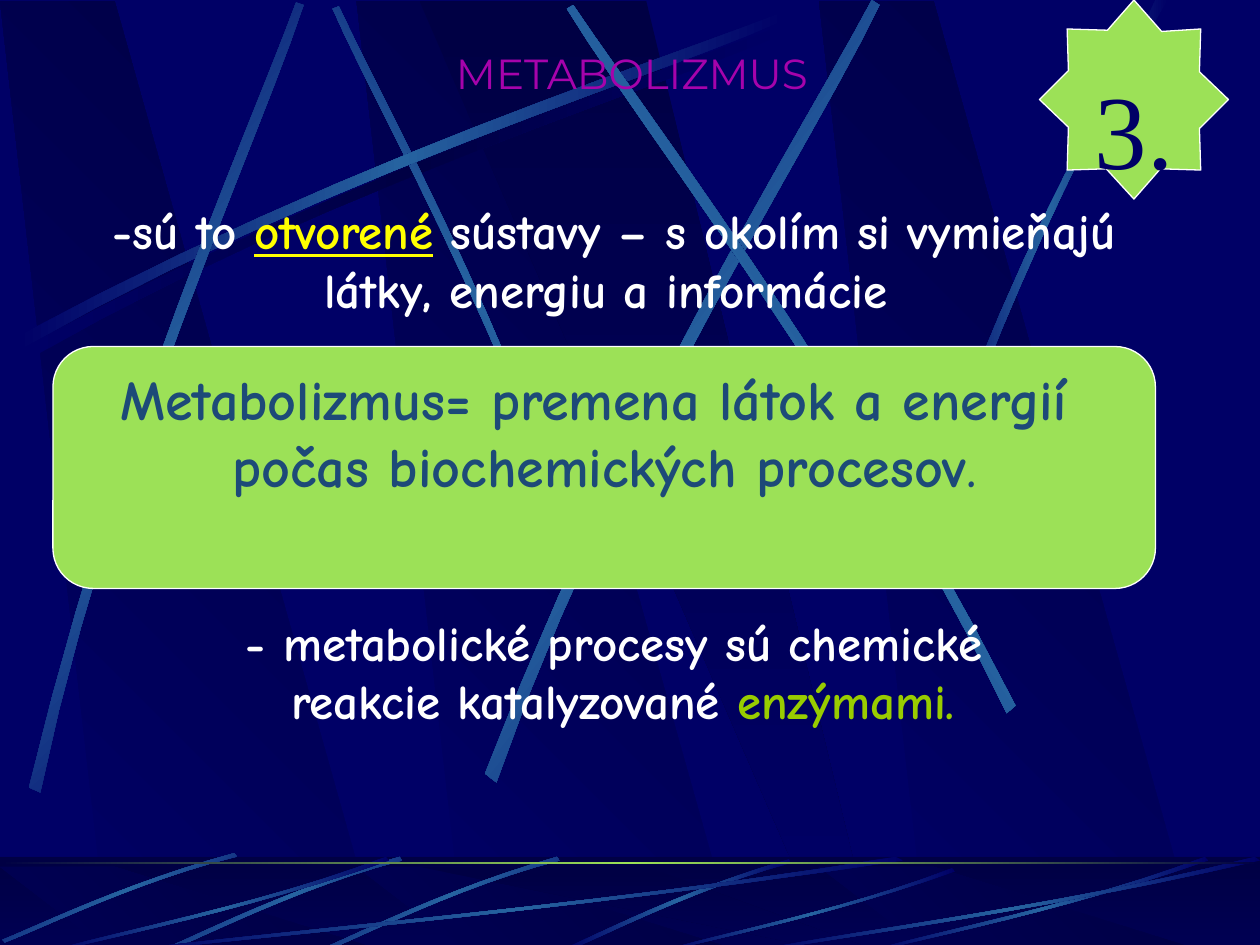
import dataclasses

import pptx
import pptx.dml.color
import pptx.enum.shapes
import pptx.enum.text
import pptx.oxml.ns
import pptx.util
from lxml import etree

qn = pptx.oxml.ns.qn
ALIGN = pptx.enum.text.PP_ALIGN
ANCHOR = pptx.enum.text.MSO_ANCHOR
SHAPES = pptx.enum.shapes.MSO_SHAPE


@dataclasses.dataclass(frozen=True)
class Theme:
    navy: str = "000066"
    night: str = "000044"
    beam: str = "2663A0"
    lime: str = "9CE157"
    white: str = "FFFFFF"
    yellow: str = "FFFF00"
    olive: str = "99CC00"
    ink: str = "1D4A78"
    purple: str = "A603AB"
    hand: str = "Comic Neue"
    sans: str = "Montserrat"
    serif: str = "Times New Roman"
    title_size: int = 24
    body_size: int = 28
    definition_size: int = 32
    number_size: int = 60


THEME = Theme()
WIDTH, HEIGHT = pptx.util.Inches(10), pptx.util.Inches(7.5)
CELL = WIDTH / 10  # ten columns; rows are as high as columns are wide
FOOTER_TOP = 6.8

# Beams: four points of one edge, then four of the edge coming back
LONG_BEAM = [(0.14, 2.67), (2.78, 1.25), (5.18, 0.51), (6.2, 0.1),
             (6.23, 0.16), (5.22, 0.61), (2.48, 1.43), (0.17, 2.77)]
STEEP_BEAMS = [  # points, gradient angle
    ([(4.6, 4.36), (3.91, 2.34), (3.02, 0.77), (2.69, 0.05),
      (2.64, 0.07), (2.95, 0.79), (3.98, 2.58), (4.54, 4.39)], 45),
    (LONG_BEAM, 0),
    ([(0.23, 6.25), (0.93, 3.34), (1.97, 1.05), (2.35, 0.02),
      (2.41, 0.04), (2.07, 1.08), (0.86, 3.68), (0.32, 6.29)], 311.7),
    ([(3.85, 6.14), (4.98, 3.2), (6.38, 1.02), (6.92, 0),
      (6.98, 0.04), (6.49, 1.08), (4.86, 3.55), (3.94, 6.21)], 321.6),
    ([(8.06, 5.6), (6.7, 2.93), (5.16, 0.95), (4.55, 0.04),
      (4.5, 0.07), (5.07, 1.01), (6.85, 3.25), (7.99, 5.66)], 34.8),
    ([(7.38, 3.93), (8.14, 1.73), (8.88, 0.66), (9.17, 0),
      (9.27, 0), (8.36, 1.45), (7.69, 3.22), (7.44, 3.97)], 0),
]
# Footer beams as shares of the box they fill
FLAT_BEAM = [(1, 0.04), (0.57, 0.57), (0.17, 0.85), (0.01, 1),
             (0, 0.99), (0.16, 0.81), (0.62, 0.51), (0.99, 0)]
BENT_BEAM = [(0.99, 0), (0.53, 0.33), (0.16, 0.8), (0, 0.97),
             (0.01, 1), (0.17, 0.84), (0.58, 0.31), (1, 0.04)]
FOOTER_BEAMS = [  # outline, box, gradient angle
    (BENT_BEAM, (4.48, 6.82, 1.8, 0.73), 0),
    (BENT_BEAM, (2.56, 6.8, 1.88, 0.75), 315),
    (BENT_BEAM, (1.31, 6.8, 1.88, 0.75), 315),
    (BENT_BEAM, (0.02, 6.77, 1.86, 0.71), 315),
    (FLAT_BEAM, (1, 6.8, 6.17, 0.75), 0),
    (FLAT_BEAM, (0.42, 6.8, 2.67, 0.75), 0),
    (FLAT_BEAM, (5.27, 6.89, 2.31, 0.66), 0),
    (FLAT_BEAM, (6.92, 6.8, 2.67, 0.75), 0),
    (FLAT_BEAM, (6, 6.8, 4, 0.75), 0),
]
STAR = [(8.25, 0.79), (8.48, 1.01), (8.47, 1.35), (8.78, 1.34), (9, 1.58), (9.21, 1.34),
        (9.53, 1.35), (9.52, 1.02), (9.75, 0.79), (9.52, 0.57), (9.53, 0.23), (9.22, 0.25),
        (9, 0), (8.79, 0.24), (8.47, 0.23), (8.48, 0.56)]


def grid(*cells):
    return [round(cell * CELL) for cell in cells]


def color(value):
    return pptx.dml.color.RGBColor.from_string(value)


def set_format(target, **values):
    for name, value in values.items():
        setattr(target, name, value)


def paint(shape, fill, line=None):
    shape.shadow.inherit = False
    shape.fill.solid()
    shape.fill.fore_color.rgb = color(fill)
    if line:
        shape.line.color.rgb = color(line)
        shape.line.width = pptx.util.Pt(0.75)
    else:
        shape.line.fill.background()


def paint_gradient(shape, colors, angle):
    paint(shape, colors[0])
    shape.fill.gradient()
    shape.fill.gradient_angle = angle
    stops = shape.element.spPr.find(".//" + qn("a:gsLst"))
    stops.clear()
    for index, value in enumerate(colors):
        position = str(100000 * index // (len(colors) - 1))
        stop = etree.SubElement(stops, qn("a:gs"), pos=position)
        etree.SubElement(stop, qn("a:srgbClr"), val=value)


def add_outline(slide, points):
    corners = [tuple(grid(*point)) for point in points]
    builder = slide.shapes.build_freeform(*corners[0], scale=1.0)
    builder.add_line_segments(corners[1:], close=True)
    return builder.convert_to_shape()


def add_rectangle(slide, box, kind=SHAPES.RECTANGLE):
    return slide.shapes.add_shape(kind, *grid(*box))


def curve(points, steps=12):
    """Points along a cubic Bézier curve."""
    for step in range(steps + 1):
        t = step / steps
        weights = ((1 - t) ** 3, 3 * t * (1 - t) ** 2, 3 * t * t * (1 - t), t ** 3)
        yield tuple(sum(w * point[axis] for w, point in zip(weights, points)) for axis in (0, 1))


def add_beam(slide, points, angle=0, middle=THEME.beam, edge=THEME.navy):
    shape = add_outline(slide, [*curve(points[:4]), *curve(points[4:])])
    paint_gradient(shape, [edge, middle, edge], angle)


def add_panels(slide, top, bottom):
    for left in (2.83, 0, 6.5):
        panel = add_outline(slide, [(left + 0.86, bottom), (left + 3.02, bottom),
                                    (left + 0.91, top), (left, top)])
        paint_gradient(panel, [THEME.navy, THEME.night], 45)
    wedge = add_outline(slide, [(3.33, top), (6.58, bottom), (6.94, bottom), (5.13, top)])
    paint_gradient(wedge, [THEME.night, THEME.navy], 270)


def add_backdrop(slide):
    slide.background.fill.solid()
    slide.background.fill.fore_color.rgb = color(THEME.navy)
    add_panels(slide, 0.01, 7.52)
    add_beam(slide, [(x + 0.06, y + 0.08) for x, y in LONG_BEAM], middle=THEME.night)
    for points, angle in STEEP_BEAMS:
        add_beam(slide, points, angle)

    # Footer band under a half-transparent veil
    band_box = (0, FOOTER_TOP, 10, 0.75)
    paint_gradient(add_rectangle(slide, band_box), [THEME.night, THEME.navy], 270)
    add_panels(slide, 6.88, 7.54)
    veil = add_rectangle(slide, band_box)
    paint(veil, THEME.night)
    veil_color = veil.element.spPr.find(qn("a:solidFill"))[0]
    etree.SubElement(veil_color, qn("a:alpha"), val="50000")
    for outline, (left, top, width, height), angle in FOOTER_BEAMS:
        add_beam(slide, [(left + x * width, top + y * height) for x, y in outline], angle)
    rule = add_rectangle(slide, (0, 6.84, 10, 0.02))
    paint_gradient(rule, [THEME.night, THEME.lime, THEME.night], 0)


def write(shape, lines, wrap=False, top=0.05, spaces=None, **font):
    """Each line is a list of (text, font values that differ)."""
    frame = shape.text_frame
    set_format(frame, word_wrap=wrap, auto_size=pptx.enum.text.MSO_AUTO_SIZE.NONE,
               vertical_anchor=ANCHOR.TOP, margin_top=grid(top)[0])
    for index, line in enumerate(lines):
        paragraph = frame.paragraphs[0] if index == 0 else frame.add_paragraph()
        properties = paragraph._p.get_or_add_pPr()
        set_format(paragraph, alignment=ALIGN.CENTER,
                   space_before=pptx.util.Pt((spaces or {}).get(index, 0)))
        properties.set("marL", "0")
        properties.set("indent", "0")
        etree.SubElement(properties, qn("a:buNone"))
        for text, changes in line:
            run = paragraph.add_run()
            run.text = text
            values = {**font, **changes}
            run.font.color.rgb = color(values.pop("ink"))
            values["size"] = pptx.util.Pt(values["size"])
            set_format(run.font, **values)


def place(placeholder, box):
    """Move a placeholder to its box, in front of the backdrop."""
    set_format(placeholder, **dict(zip(("left", "top", "width", "height"), grid(*box))))
    placeholder.element.getparent().append(placeholder.element)
    return placeholder


def main():
    presentation = pptx.Presentation()
    set_format(presentation, slide_width=WIDTH, slide_height=HEIGHT)
    slide = presentation.slides.add_slide(presentation.slide_layouts[1])
    add_backdrop(slide)

    # Statements above and below the definition
    write(place(slide.placeholders[1], (0, 1.54, 9.75, 4.31)), [
        [("-sú to ", {}), ("otvorené", {"ink": THEME.yellow, "underline": True}),
         (" sústavy – s okolím si vymieňajú", {})],
        [("látky, energiu a informácie ", {})],
        [("- metabolické procesy sú chemické", {})],
        [(" reakcie katalyzované ", {}), ("enzýmami.", {"ink": THEME.olive})],
    ], wrap=True, spaces={2: 168}, name=THEME.hand, size=THEME.body_size, bold=True, ink=THEME.white)
    write(place(slide.shapes.title, (2.75, 0.33, 4.53, 0.71)), [[("METABOLIZMUS", {})]],
          name=THEME.sans, size=THEME.title_size, ink=THEME.purple)

    # Numbered star
    star = add_outline(slide, STAR)
    paint(star, THEME.lime, THEME.white)
    write(star, [[("3.", {})]], top=0.51,
          name=THEME.serif, size=THEME.number_size, ink=THEME.navy)

    # Definition
    definition = add_rectangle(slide, (0.42, 2.75, 8.75, 1.92), SHAPES.ROUNDED_RECTANGLE)
    paint(definition, THEME.lime, THEME.white)
    write(definition, [
        [("Metabolizmus= premena látok a energií ", {})],
        [("počas biochemických procesov", {}), (".", {"size": THEME.body_size})],
    ], name=THEME.hand, size=THEME.definition_size, bold=True, ink=THEME.ink)
    presentation.save("out.pptx")


if __name__ == "__main__":
    main()
